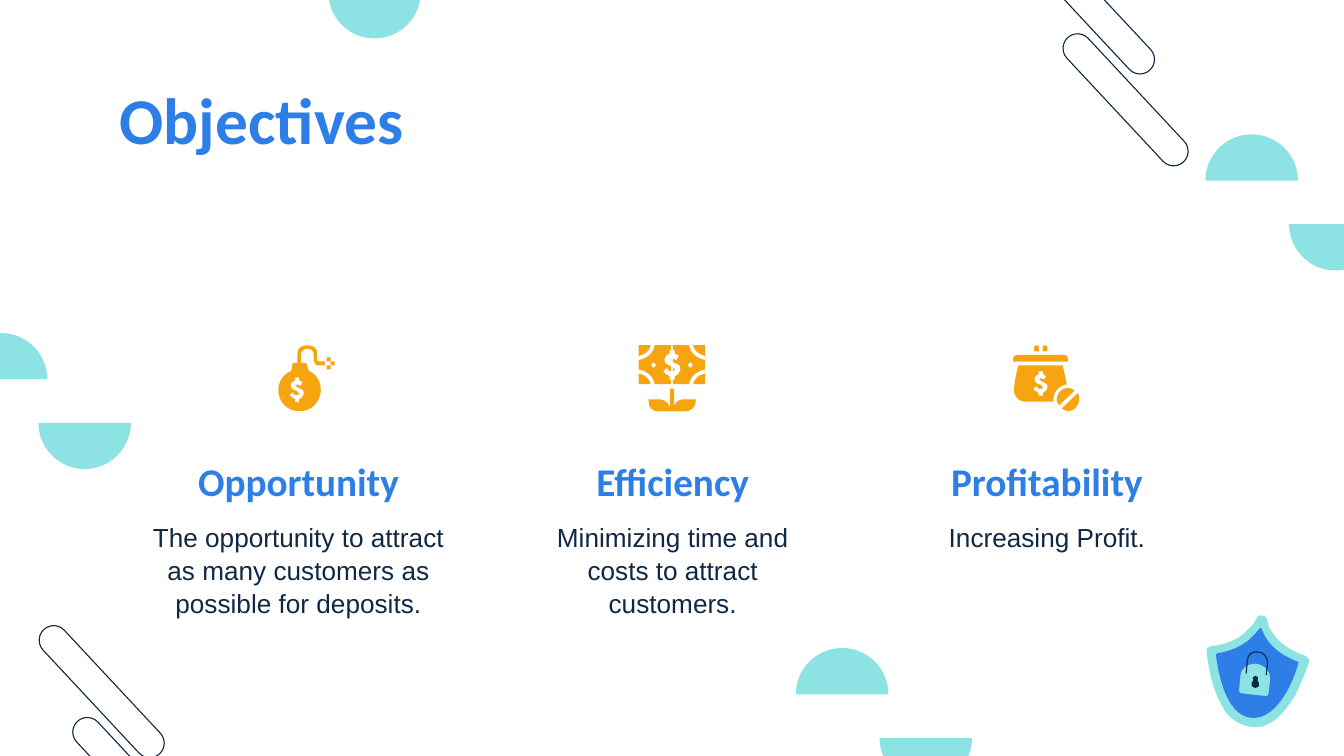
from copy import deepcopy

from lxml import etree
from pptx import Presentation
from pptx.dml.color import RGBColor
from pptx.enum.shapes import MSO_SHAPE
from pptx.enum.text import MSO_ANCHOR, MSO_AUTO_SIZE, PP_ALIGN
from pptx.oxml.ns import qn
from pptx.util import Pt

ROUNDED = MSO_SHAPE.ROUNDED_RECTANGLE
TOP, BOTTOM = MSO_ANCHOR.TOP, MSO_ANCHOR.BOTTOM
LEFT, CENTER = PP_ALIGN.LEFT, PP_ALIGN.CENTER
NO_FIT = MSO_AUTO_SIZE.NONE

TEAL, BLUE, NAVY, ORANGE, WHITE = "8DE3E4", "2D7EE7", "102843", "F6A410", "FFFFFF"
GRID = 0.72         # points per unit of the outlines below

COLUMNS = [
    ("Opportunity", "The opportunity to attract as many customers as possible for deposits."),
    ("Efficiency", "Minimizing time and costs to attract customers."),
    ("Profitability", "Increasing Profit."),
]

# Outlines: M move, L line, C cubic curve, Z close
HALF_DISC = "M0 34.4 C0 15.4 15.4 0 34.4 0 C53.4 0 68.8 15.4 68.8 34.4 Z"
DOLLAR = ("M7 0 L7 2 L9.5 3.5 L8 6 L5.5 5 L4 6 L7 8 C9.5 8.5 11 10 10.3 12.5 "
          "C10 14 8.5 15.5 7 16 L7 18 L4 18 L4 16 L1 14 L0 13 L2 11 L4 13 L6.2 13 "
          "L7.3 12 L5.5 10 L3 9 C1 8 0.8 7 0.8 5.5 C1 4 2 3 4 2 L4 0 Z")
BOMB = ("M28 0 C24 0 20 2 20.5 7 L20.5 13 L17 13 L16 19 C0 26 5 49 22 49 "
        "C39 49 44 26 29 19 L27 13 L23 13 L23 7 C23 4 26 2.5 28 2.5 "
        "C30 2.5 33 4 32.5 7 L32.5 11 C32.5 13 34 15 37 15 L41 15 L41 12 L37 12 "
        "C36 12 35 12 35 11 L35 7 C36 2 32 0 28 0 Z")
SPARK = "M41 9 L44 9 L44 12 L47 12 L47 15 L44 15 L44 18 L41 18 L41 15 L44 15 L44 12 L41 12 Z"
NOTE_CORNER = "M0 0 L0 8 C5 7 8 4 9 0 Z"
NOTE_HALF = ("M12 0 C11 6 6 10 0 11 L0 18 C6 19 11 23 12 29 L24 29 L24 0 Z "
             "M11 12.5 L13 14.8 L11 17 L9 14.8 Z")
LEAVES = ("M16 0 L16 14 C15 11 12 8 8 8 L0 8 L0 10 C0 14 3 17 7 17 L27 17 "
          "C31 17 35 14 35 10 L35 8 L26 8 C22 8 19 11 19 14 L19 0 Z")
PURSE_RIM = "M3 0 C1 0 0 1 0 3 L0 5 L41 5 L41 3 C41 1 40 0 38 0 Z"
PURSE = ("M4 0 C3 3 1 13 1 16 C0 19 1 22 3 24 C4 26 7 27 10 27 L30 27 "
         "C29.5 20 34 15 40 14 L37 0 Z")
CLASP = "M0 4.5 L0 1 C0 -0.3 3.5 -0.3 3.5 1 L3.5 4.5 Z"
COIN_TOP = "M9 0 C4 0 0 4 0 9 C0 10 1 12 2 13 L13.5 2 C12 1 10 0 9 0 Z"
COIN_BOTTOM = "M12 0 L0 11.5 C1 12 3 13.5 5 13.5 C9 13.5 13 9 13 5 C13 3 13 1 12 0 Z"
SHIELD_RIM = ("M41 0 C40 0 38 1 38 2 C38 3 36 7 31 11 C25 18 15 22 4 23 C2 23 0 25 1 27 "
              "C1 28 2 40 6 53 C9 61 12 67 15 72 C21 79 27 82 34 83 C42 84 48 81 54 76 "
              "C58 72 63 66 67 59 C73 47 77 35 77 35 C78 33 76 31 74 30 "
              "C63 26 55 21 50 13 C46 8 46 3 46 3 C45 1 44 0 41 0 Z")
SHIELD = ("M33 0 C32 0 32 1 32 1 C28 6 20 16 1 19 C0 19 0 20 0 21 C1 29 6 65 26 67 "
          "C47 69 59 35 61 27 C62 26 61 25 60 25 C42 18 36 7 34 1 C34 1 33 0 33 0 Z")
LOCK = ("M12 0 C6 0 1 4 1 10 L0 20 C0 21 1 22 2 22 L20 24 C21 24 22 23 22 22 "
        "L23 13 C24 6 19 1 13 0 Z")
SHACKLE = "M15 18 L16 9 C16 5 13 1 9 1 C5 0 1 3 1 7 L0 17"
KEYHOLE = "M3 0 C1 0 0.5 2 1.3 3.5 C-1 6 0 9 3 9 C6 9 6.5 6 4.6 3.5 C5.5 2 5 0 3 0 Z"


def rgb(value):
    return RGBColor.from_string(value)


def style(sp, fill=None, line=None):
    sp.shadow.inherit = False
    if fill:
        sp.fill.solid()
        sp.fill.fore_color.rgb = rgb(fill)
    else:
        sp.fill.background()
    if line:
        sp.line.color.rgb = rgb(line)
        sp.line.width = Pt(0.59)
    else:
        sp.line.fill.background()


def read_contour(contour):
    """Return the points of one contour and the letters of its commands."""
    points, kinds = [], "M"
    for word in contour.replace("Z", " Z").replace("L", "L ").replace("C", "C ").split():
        if word in "LCZ":
            kinds += word
        else:
            points.append(float(word))
    return list(zip(points[::2], points[1::2])), kinds


def bend(sp, kinds):
    """Join each three line pieces that stand for a curve into one cubic curve."""
    outline = next(sp._element.iter(qn("a:path")))
    nodes = iter(list(outline))
    for kind in kinds:
        node = next(nodes)
        if kind == "C":
            curve = etree.SubElement(outline, qn("a:cubicBezTo"))
            node.addprevious(curve)
            for piece in (node, next(nodes), next(nodes)):
                curve.append(piece[0])
                outline.remove(piece)


def draw(s, parts, fill=None, line=None):
    """Draw parts (outline, x, y in points, x scale, y scale) as one shape."""
    builder, all_kinds = None, ""
    for outline, x, y, sx, sy in parts:
        for contour in outline.split("M")[1:]:
            points, kinds = read_contour(contour)
            pts = [((x + px * sx * GRID) * 100, (y + py * sy * GRID) * 100)
                   for px, py in points]
            if builder is None:
                builder = s.shapes.build_freeform(*pts[0], scale=Pt(0.01))
            else:
                builder.move_to(*pts[0])
            builder.add_line_segments(pts[1:], close="Z" in kinds)
            all_kinds += kinds
    sp = builder.convert_to_shape()
    bend(sp, all_kinds)
    style(sp, fill, line)


def add_capsules(s, cx, cy):
    """Two slanted capsules, the second up and to the left of the first."""
    w, h = 91, 15.6
    for dx, dy in ((0, 0), (-18, -49.2)):
        sp = s.shapes.add_shape(ROUNDED, Pt(cx + dx - w / 2), Pt(cy + dy - h / 2), Pt(w), Pt(h))
        sp.adjustments[0] = 0.5
        sp.rotation = 47
        style(sp, line=NAVY)


def add_half_discs(s):
    discs = [(175.9, 20.6, -1)]
    for x, y in ((645.8, 72), (-24.2, 178.4), (426.4, 347.2)):
        discs += [(x, y, 1), (x + 44.8, y + 72.9, -1)]
    for x, y, flip in discs:
        draw(s, [(HALF_DISC, x, y, 1, flip)], TEAL)


def add_shield(s):
    draw(s, [(SHIELD_RIM, 645.8, 329.7, 1, 1)], TEAL)
    draw(s, [(SHIELD, 651.5, 336.3, 1, 1)], BLUE)
    draw(s, [(LOCK, 663.8, 355.6, 1, 1)], TEAL)
    draw(s, [(SHACKLE, 667.6, 348.6, 1, 1)], line=NAVY)
    draw(s, [(KEYHOLE, 670.4, 362, 1, 1)], NAVY)


def add_icon(s, parts, x, y, scale=1):
    """Orange parts with a white dollar sign at x, y."""
    draw(s, parts, ORANGE)
    draw(s, [(DOLLAR, x, y, scale, scale)], WHITE)


def add_bomb(s, x, y):
    add_icon(s, [(BOMB, x - 2.4, y, 1, 1), (SPARK, x - 1.5, y, 1, 1)], x + 8.2, y + 17.3)


def add_money_plant(s, x, y):
    w, h = 35.6, 20.9
    parts = [(LEAVES, x + 5.3, y + 23.2, 1, 1)]
    for left, sx in ((x, 1), (x + w, -1)):
        parts.append((NOTE_HALF, left, y, sx, 1))
        parts += [(NOTE_CORNER, left, top, sx, sy) for top, sy in ((y, 1), (y + h, -1))]
    add_icon(s, parts, x + 13.1, y + 2.6, 1.22)


def add_purse(s, x, y):
    pieces = [(PURSE_RIM, 0, 5.2), (PURSE, 0, 10.8), (CLASP, 11.3, 0), (CLASP, 15.9, 0),
              (COIN_TOP, 23.3, 22.8), (COIN_BOTTOM, 26.1, 25.6)]
    add_icon(s, [(o, x + dx, y + dy, 1, 1) for o, dx, dy in pieces], x + 10.9, y + 14)


def fill_placeholder(sp, box, text, font, size, color, bold=False, align=CENTER,
                     anchor=TOP, spacing=1.0):
    sp.left, sp.top, sp.width, sp.height = (Pt(v) for v in box)
    tf = sp.text_frame
    tf.text = text
    tf.word_wrap, tf.auto_size, tf.vertical_anchor = True, NO_FIT, anchor
    tf.margin_left = tf.margin_right = tf.margin_top = tf.margin_bottom = Pt(7.2)
    p = tf.paragraphs[0]
    p.alignment, p.line_spacing, p.space_before = align, spacing, Pt(0)
    pPr = p._p.get_or_add_pPr()
    pPr.set("marL", "0")
    pPr.set("indent", "0")
    etree.SubElement(pPr, qn("a:buNone"))
    f = p.runs[0].font
    f.name, f.size, f.bold, f.color.rgb = font, Pt(size), bold, rgb(color)


def clone_body(s, body):
    el = deepcopy(body._element)
    el.nvSpPr.cNvPr.set("id", str(max(sp.shape_id for sp in s.shapes) + 1))
    s.shapes._spTree.append(el)
    return s.shapes[-1]


def main():
    prs = Presentation()
    prs.slide_width, prs.slide_height = Pt(720), Pt(405)
    s = prs.slides.add_slide(prs.slide_layouts[1])
    title, body = s.placeholders

    # Title, then a heading and a text per column
    fill_placeholder(title, (56.9, 35.3, 607, 45.4), "Objectives", "Calibri", 35, BLUE,
                     bold=True, align=LEFT)
    bodies = [body] + [clone_body(s, body) for _ in range(2 * len(COLUMNS) - 1)]
    for i, (heading, text) in enumerate(COLUMNS):
        x = 74.2 + i * 200.5
        fill_placeholder(bodies[2 * i], (x, 235.4, 171.4, 41.8), heading, "Calibri", 21,
                         BLUE, bold=True, anchor=BOTTOM)
        fill_placeholder(bodies[2 * i + 1], (x, 271.4, 171.4, 68.4), text, "Arial", 14,
                         NAVY, spacing=1.05)

    # Decoration
    add_half_discs(s)
    add_capsules(s, 603, 53.5)
    add_capsules(s, 72.5, 419.8)
    add_shield(s)

    # Column icons
    add_bomb(s, 147, 185)
    add_money_plant(s, 342.2, 185)
    add_purse(s, 542.7, 185)

    prs.save("out.pptx")


if __name__ == "__main__":
    main()
